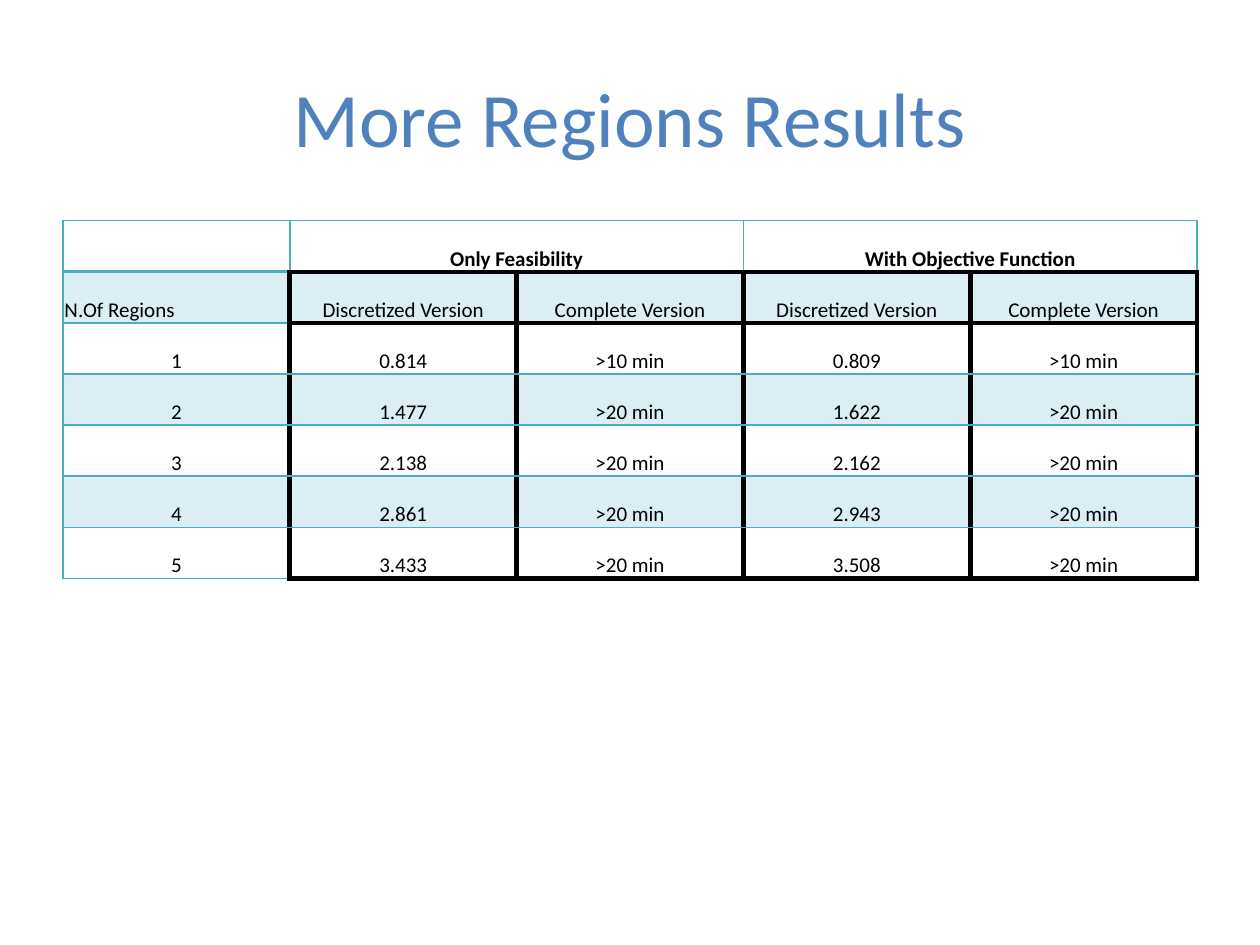
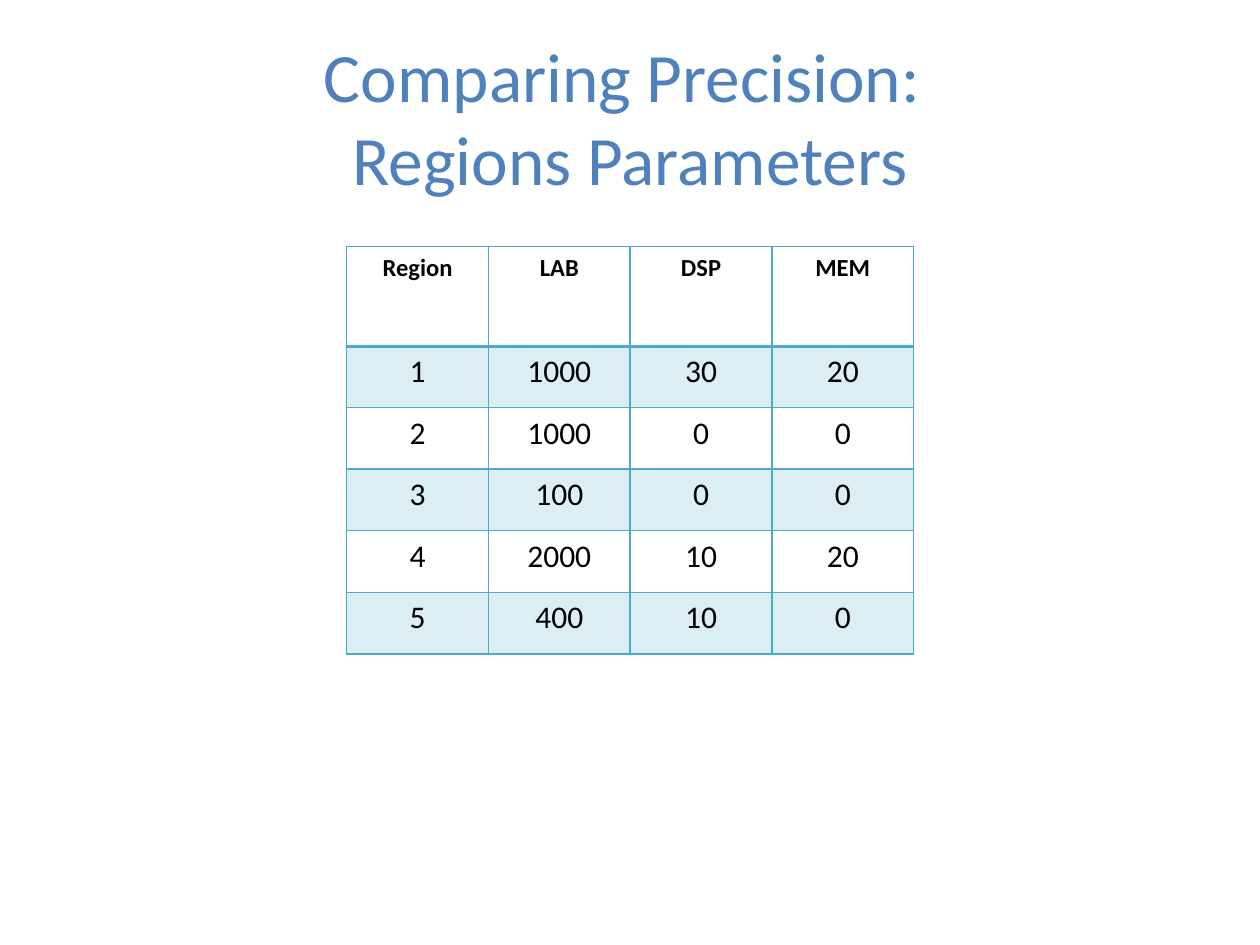
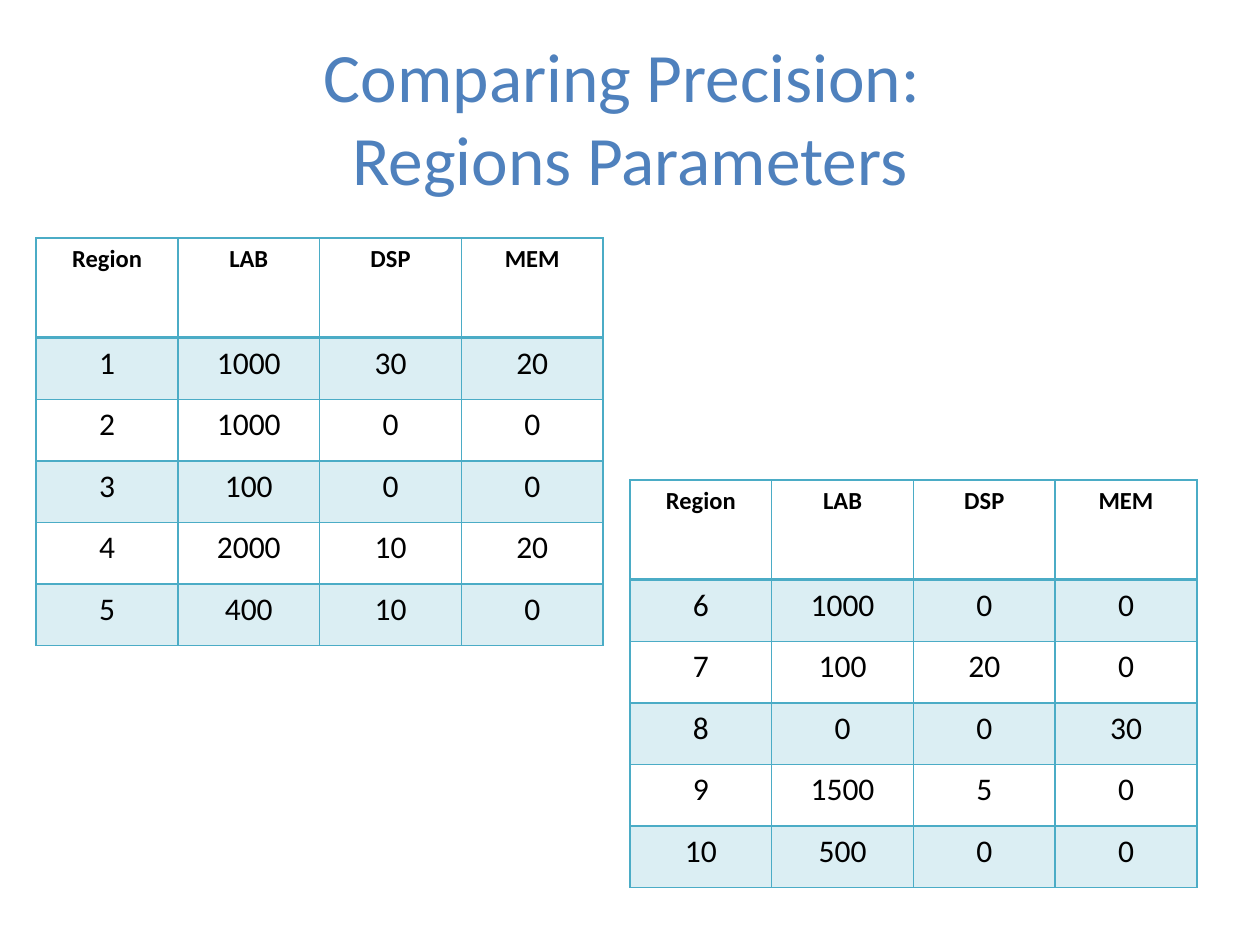
from lxml.etree import SubElement
from pptx import Presentation
from pptx.dml.color import RGBColor
from pptx.enum.text import MSO_ANCHOR, PP_ALIGN
from pptx.oxml.ns import qn
from pptx.util import Cm, Pt

# Shared look
TITLE_BLUE = RGBColor(0x4F, 0x81, 0xBD)
TEAL = RGBColor(0x4B, 0xAC, 0xC6)
BLACK = RGBColor(0x00, 0x00, 0x00)
FONT = "Calibri"
THIN, MEDIUM, THICK = (TEAL, 1), (TEAL, 2), (BLACK, 3)
BAND_ALPHA = "20000"

# Table contents
RESULTS = [
    ["", "Only Feasibility", "", "With Objective Function", ""],
    ["N.Of Regions"] + ["Discretized Version", "Complete Version"] * 2,
    ["1", "0.814", ">10 min", "0.809", ">10 min"],
    ["2", "1.477", ">20 min", "1.622", ">20 min"],
    ["3", "2.138", ">20 min", "2.162", ">20 min"],
    ["4", "2.861", ">20 min", "2.943", ">20 min"],
    ["5", "3.433", ">20 min", "3.508", ">20 min"],
]
HEADINGS = ["Region", "LAB", "DSP", "MEM"]
REGIONS_1_TO_5 = [
    HEADINGS,
    ["1", "1000", "30", "20"],
    ["2", "1000", "0", "0"],
    ["3", "100", "0", "0"],
    ["4", "2000", "10", "20"],
    ["5", "400", "10", "0"],
]
REGIONS_6_TO_10 = [
    HEADINGS,
    ["6", "1000", "0", "0"],
    ["7", "100", "20", "0"],
    ["8", "0", "0", "30"],
    ["9", "1500", "5", "0"],
    ["10", "500", "0", "0"],
]

# Table kinds: sizes in centimetres and points
RESULTS_KIND = {
    "width": 22.86, "head_height": 1.03, "row_height": 1.03,
    "head_size": 12, "body_size": 12, "boxed": True, "spans": [(1, 2), (3, 4)],
    "cell_format": {
        "vertical_anchor": MSO_ANCHOR.BOTTOM, "margin_left": Cm(0.03),
        "margin_right": Cm(0.03), "margin_top": Cm(0.03), "margin_bottom": Cm(0),
    },
}
REGIONS_KIND = {
    "width": 11.43, "head_height": 2.01, "row_height": 1.24,
    "head_size": 14, "body_size": 18, "boxed": False, "spans": [],
    "cell_format": {"vertical_anchor": MSO_ANCHOR.TOP},
}

# Each slide: title, title size, tables as (left, top, rows, kind)
PRECISION_TITLE = "Comparing Precision: \nRegions Parameters"
SLIDES = [
    ("More Regions Results", 44, [(1.27, 4.45, RESULTS, RESULTS_KIND)]),
    (PRECISION_TITLE, 39.6, [(6.99, 4.97, REGIONS_1_TO_5, REGIONS_KIND)]),
    (PRECISION_TITLE, 39.6, [
        (0.73, 4.8, REGIONS_1_TO_5, REGIONS_KIND),
        (12.7, 9.68, REGIONS_6_TO_10, REGIONS_KIND),
    ]),
]


def write_text(frame, text, colour, size, bold=False, alignment=PP_ALIGN.CENTER):
    para = frame.paragraphs[0]
    para.text = text
    para.alignment = alignment
    for span in para.runs:
        for name, value in {"name": FONT, "size": Pt(size), "bold": bold}.items():
            setattr(span.font, name, value)
        span.font.color.rgb = colour


def draw_borders(cell, row, column, last_edge, boxed):
    def_vertical = [
        THICK if boxed and row > 0 and edge > 0 else THIN
        for edge in (column, column + 1)
    ]
    def_horizontal = []
    for edge in (row, row + 1):
        if boxed and column > 0 and edge in (1, 2, last_edge):
            def_horizontal.append(THICK)
        else:
            def_horizontal.append(MEDIUM if edge == 1 else THIN)
    properties = cell._tc.get_or_add_tcPr()
    sides = ("a:lnL", "a:lnR", "a:lnT", "a:lnB")
    for side, (colour, width) in zip(sides, def_vertical + def_horizontal):
        line = SubElement(properties, qn(side), w=str(Pt(width)))
        fill = SubElement(line, qn("a:solidFill"))
        SubElement(fill, qn("a:srgbClr"), val=str(colour))


deck = Presentation()
deck.slide_width, deck.slide_height = Cm(25.4), Cm(19.05)

for title, title_size, tables in SLIDES:
    page = deck.slides.add_slide(deck.slide_layouts[6])

    # Title
    box = page.shapes.add_textbox(Cm(1.27), Cm(0.76), Cm(22.86), Cm(3.18))
    for name, value in {"word_wrap": True, "vertical_anchor": MSO_ANCHOR.MIDDLE}.items():
        setattr(box.text_frame, name, value)
    write_text(box.text_frame, title, TITLE_BLUE, title_size)

    # Tables
    for left, top, rows, kind in tables:
        heights = [kind["head_height"]] + [kind["row_height"]] * (len(rows) - 1)
        table = page.shapes.add_table(
            len(rows), len(rows[0]), Cm(left), Cm(top),
            Cm(kind["width"]), Cm(sum(heights)),
        ).table
        for name in ("first_row", "horz_banding"):
            setattr(table, name, False)
        for table_column in table.columns:
            table_column.width = Cm(kind["width"] / len(rows[0]))

        for row, values in enumerate(rows):
            table.rows[row].height = Cm(heights[row])
            for column, value in enumerate(values):
                cell = table.cell(row, column)
                for name, setting in kind["cell_format"].items():
                    setattr(cell, name, setting)
                draw_borders(cell, row, column, len(rows), kind["boxed"])

                # Every second row is a pale band
                if row % 2:
                    cell.fill.solid()
                    cell.fill.fore_color.rgb = TEAL
                    band = cell._tc.tcPr.find(qn("a:solidFill"))
                    SubElement(band[0], qn("a:alpha"), val=BAND_ALPHA)
                else:
                    cell.fill.background()

                is_head = row == 0
                size = kind["head_size"] if is_head else kind["body_size"]
                is_label = value == "N.Of Regions"
                alignment = PP_ALIGN.LEFT if is_label else PP_ALIGN.CENTER
                write_text(cell.text_frame, value, BLACK, size, is_head, alignment)

        # Headings that cover two columns
        for first, last in kind["spans"]:
            table.cell(0, first).merge(table.cell(0, last))

deck.save("out.pptx")
